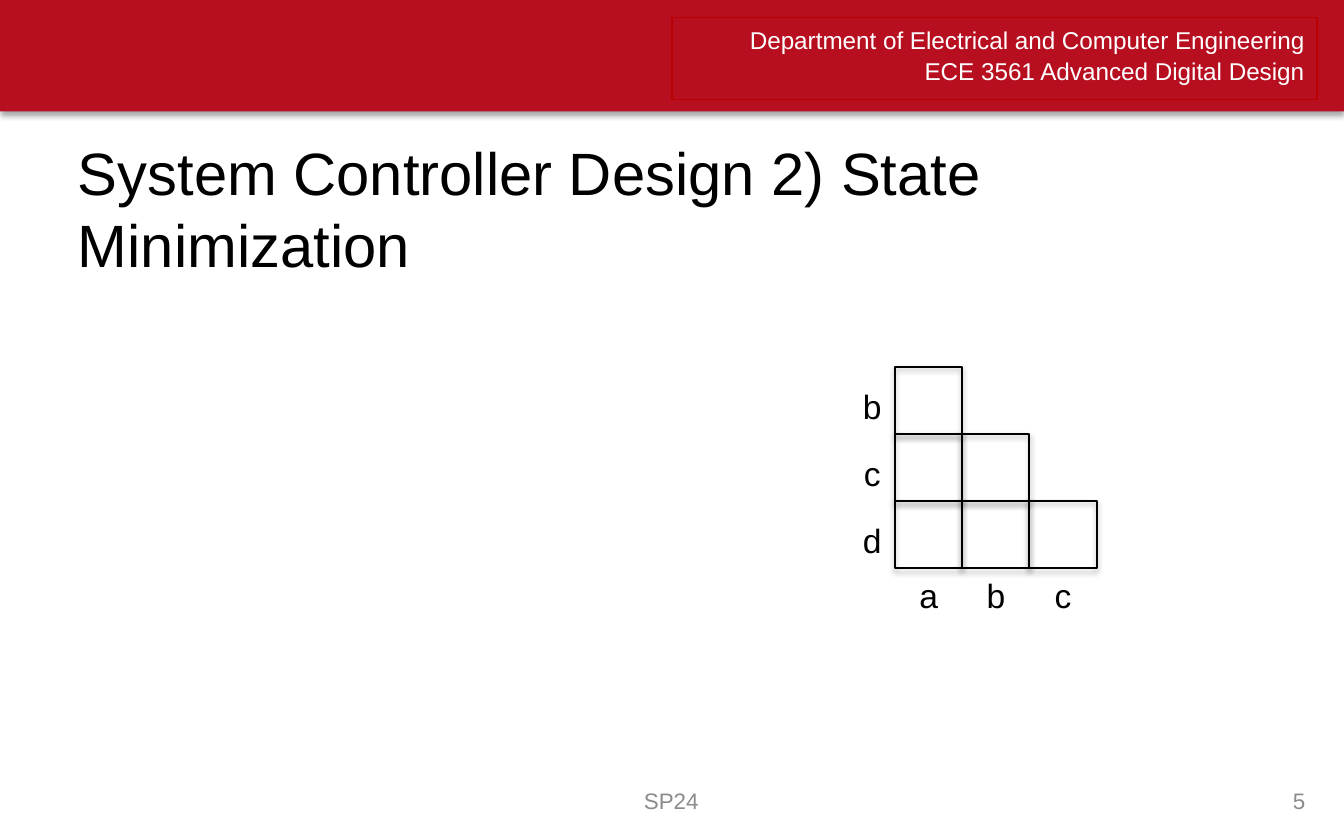
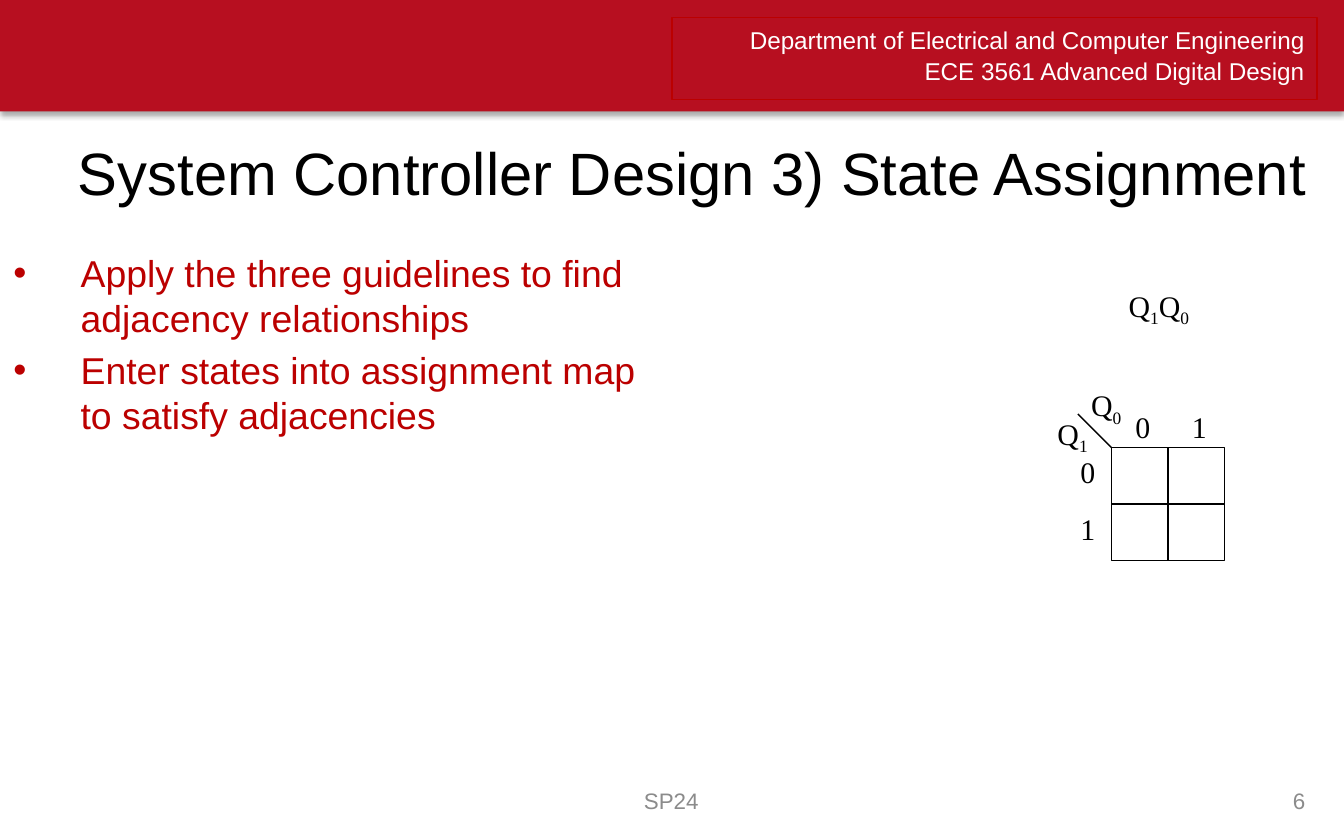
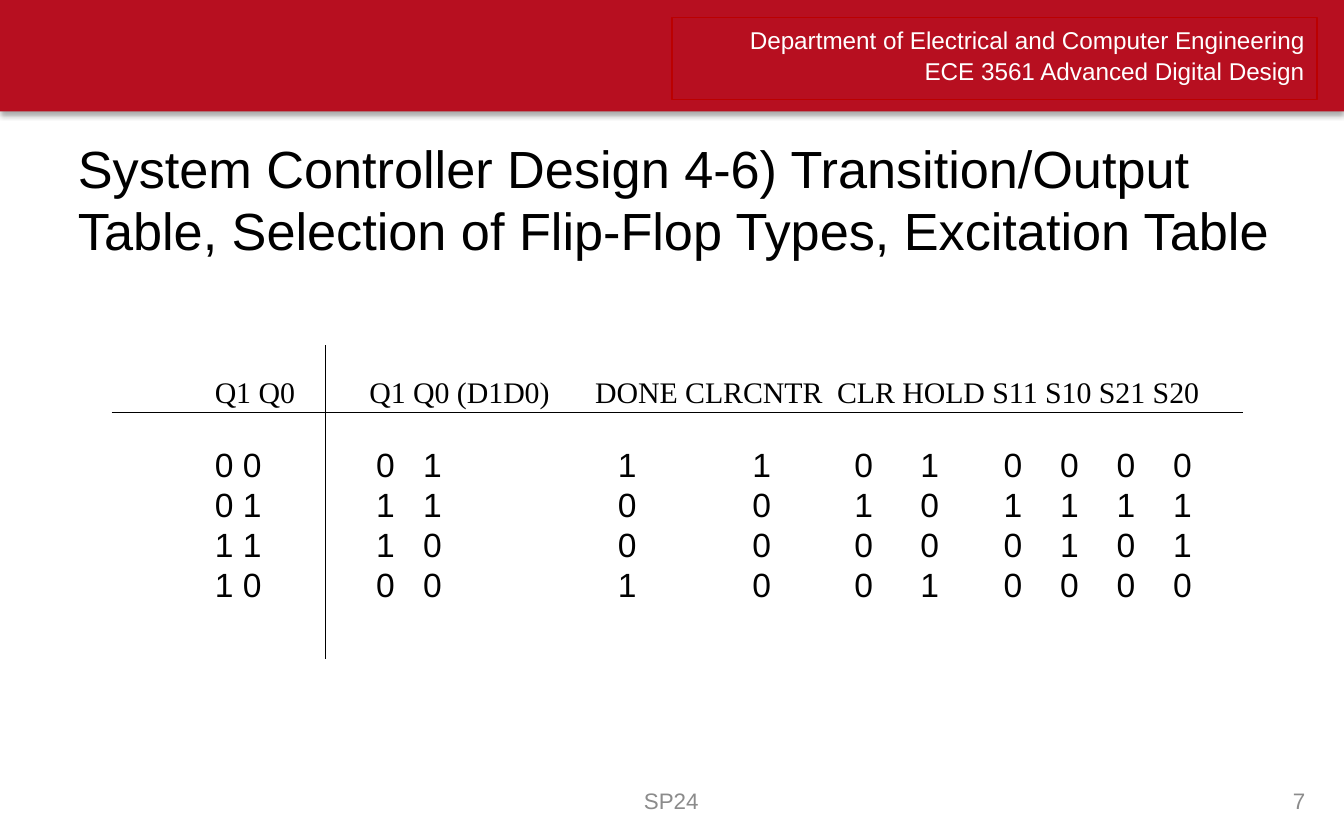
from dataclasses import dataclass

from lxml.etree import SubElement
from pptx import Presentation
from pptx.dml.color import RGBColor
from pptx.enum.shapes import MSO_CONNECTOR, MSO_SHAPE
from pptx.enum.text import MSO_ANCHOR, MSO_AUTO_SIZE, PP_ALIGN
from pptx.oxml.ns import qn
from pptx.util import Inches, Pt


@dataclass(frozen=True)
class Theme:
    sans: str = "Arial"
    serif: str = "Times New Roman"
    band: str = "B70F20"
    accent: str = "BB0000"
    ink: str = "000000"
    paper: str = "FFFFFF"
    muted: str = "8B8B8B"
    title: int = 32
    long_title: int = 28
    body: int = 20
    label: int = 18
    map_label: int = 16
    header: int = 13
    footer: int = 12


THEME = Theme()
FRAME = {
    "margin_left": Inches(0.1),
    "margin_right": Inches(0.1),
    "margin_top": Inches(0.05),
    "margin_bottom": Inches(0.05),
    "auto_size": MSO_AUTO_SIZE.NONE,
    "word_wrap": True,
}
TITLE_BOX = (0.48, 0.96, 9.52, 0.71)
LAYOUT_TITLE_AND_BODY = 1
LAYOUT_TITLE_ONLY = 5


def apply(target, values):
    for name, value in values.items():
        setattr(target, name, value)


def place(shape, box):
    apply(shape, dict(zip(("left", "top", "width", "height"), map(Inches, box))))


def style_font(font, size, color, name=THEME.sans):
    apply(font, {"name": name, "size": Pt(size)})
    font.color.rgb = RGBColor.from_string(color)


def write(shape, lines, size, color, name=THEME.sans, align=PP_ALIGN.LEFT,
          anchor=MSO_ANCHOR.TOP):
    frame = shape.text_frame
    apply(frame, {**FRAME, "vertical_anchor": anchor})
    frame.text = "\n".join(lines)
    for paragraph in frame.paragraphs:
        paragraph.alignment = align
        for run in paragraph.runs:
            style_font(run.font, size, color, name)
    return frame


def add_label(slide, box, lines, size, color=THEME.ink, **options):
    shape = slide.shapes.add_textbox(*map(Inches, box))
    return write(shape, lines, size, color, **options)


def add_rectangle(slide, box, fill=None, line=None, width=0.0):
    shape = slide.shapes.add_shape(MSO_SHAPE.RECTANGLE, *map(Inches, box))
    shape.shadow.inherit = False
    if fill:
        shape.fill.solid()
        shape.fill.fore_color.rgb = RGBColor.from_string(fill)
    else:
        shape.fill.background()
    if line:
        shape.line.color.rgb = RGBColor.from_string(line)
        shape.line.width = Pt(width)
    else:
        shape.line.fill.background()
    return shape


def add_shadow(shape):
    effects = shape.element.spPr.find(qn("a:effectLst"))
    shadow = SubElement(effects, qn("a:outerShdw"), blurRad=str(Pt(3.1)),
                        dist=str(Pt(1.8)), dir="5400000", rotWithShape="0")
    color = SubElement(shadow, qn("a:srgbClr"), val=THEME.ink)
    SubElement(color, qn("a:alpha"), val="35000")


def add_line(slide, start, end):
    line = slide.shapes.add_connector(MSO_CONNECTOR.STRAIGHT, *map(Inches, start + end))
    line.line.color.rgb = RGBColor.from_string(THEME.ink)
    line.line.width = Pt(0.75)
    SubElement(line.element.spPr, qn("a:effectLst"))


def add_tab_stops(paragraph, stops):
    tabs = SubElement(paragraph._p.get_or_add_pPr(), qn("a:tabLst"))
    for stop in stops:
        SubElement(tabs, qn("a:tab"), pos=str(Inches(stop)), algn="l")


def add_bullet(paragraph):
    properties = paragraph._p.get_or_add_pPr()
    properties.set("marL", str(Inches(0.5)))
    properties.set("indent", str(-Inches(0.5)))
    color = SubElement(properties, qn("a:buClr"))
    SubElement(color, qn("a:srgbClr"), val=THEME.accent)
    SubElement(properties, qn("a:buFont"), typeface=THEME.sans)
    SubElement(properties, qn("a:buChar"), char="•")


def add_master_header(presentation, slide):
    band = add_rectangle(slide, (0, 0, 10, 0.83), fill=THEME.band)
    add_shadow(band)
    course = add_rectangle(slide, (5, 0.13, 4.8, 0.61), line=THEME.accent)
    lines = ["Department of Electrical and Computer Engineering",
             "ECE 3561 Advanced Digital Design"]
    frame = write(course, lines, THEME.header, THEME.paper, align=PP_ALIGN.RIGHT)
    for paragraph in frame.paragraphs:
        paragraph.line_spacing = Pt(16.4)
    tree = presentation.slide_master.shapes.element
    for position, shape in enumerate((band, course), start=2):
        tree.insert(position, shape.element)


def add_footer(slide, number):
    for box, text, align in (
        ((3.31, 5.79, 3.37, 0.33), "SP24", PP_ALIGN.CENTER),
        ((7.56, 5.79, 2.25, 0.33), str(number), PP_ALIGN.RIGHT),
    ):
        add_label(slide, box, [text], THEME.footer, THEME.muted,
                  align=align, anchor=MSO_ANCHOR.MIDDLE)


def add_content_slide(presentation, layout, title, number, size=THEME.title):
    slide = presentation.slides.add_slide(presentation.slide_layouts[layout])
    place(slide.shapes.title, TITLE_BOX)
    write(slide.shapes.title, [title], size, THEME.ink)
    add_footer(slide, number)
    return slide


def add_body(slide, box, items):
    body = slide.placeholders[1]
    place(body, box)
    frame = write(body, items, THEME.body, THEME.accent)
    for index, paragraph in enumerate(frame.paragraphs):
        paragraph.space_before = Pt(4 if index else 0)
        add_bullet(paragraph)


def add_implication_chart(slide, left, top, cell, states):
    columns, rows = states[:-1], states[1:]
    for column in range(len(columns)):
        for row in range(column, len(rows)):
            square = add_rectangle(
                slide, (left + column * cell, top + row * cell, cell, cell),
                line=THEME.ink, width=1)
            add_shadow(square)
    bottom = top + len(rows) * cell
    for index, (column, row) in enumerate(zip(columns, rows)):
        for text, x, y in (
            (column, left + index * cell, bottom),
            (row, left - 0.42, top + index * cell + 0.09),
        ):
            add_label(slide, (x, y, cell, 0.4), [text], THEME.label,
                      align=PP_ALIGN.CENTER)


def add_variables(slide, box, indexes):
    frame = add_label(slide, box, [""], THEME.map_label)
    paragraph = frame.paragraphs[0]
    for index in indexes:
        for text, baseline in (("Q", None), (index, "-25000")):
            run = paragraph.add_run()
            run.text = text
            style_font(run.font, THEME.map_label, THEME.ink, THEME.serif)
            if baseline:
                run._r.get_or_add_rPr().set("baseline", baseline)


def add_assignment_map(slide, left, top, cell):
    for index in range(2):
        offset = index * cell
        for column in range(2):
            add_rectangle(slide, (left + column * cell, top + offset, cell, cell),
                          line=THEME.ink, width=0.75)
        for x, y in ((left + 0.08 + offset, top - 0.34), (left - 0.33, top + offset)):
            add_label(slide, (x, y, cell, 0.36), [str(index)],
                      THEME.map_label, name=THEME.serif)
    add_line(slide, (left, top), (left - 0.25, top - 0.25))
    add_variables(slide, (left - 0.25, top - 0.5, 0.5, 0.4), "0")
    add_variables(slide, (left - 0.5, top - 0.29, 0.5, 0.4), "1")
    add_variables(slide, (left + 0.03, top - 1.24, 0.7, 0.4), "10")


def add_transition_table(slide, left, top, width, rows):
    header = "Q1 Q0\tQ1 Q0 (D1D0)\tDONE CLRCNTR\tCLR HOLD S11 S10 S21 S20"
    heading = add_label(slide, (left, top, width, 0.63), [header],
                        THEME.map_label, name=THEME.serif)
    add_tab_stops(heading.paragraphs[0], (1.15, 2.83, 4.63))
    rule, divider = top + 0.34, left + 0.92
    add_line(slide, (left - 0.67, rule), (left + 7.75, rule))
    add_line(slide, (divider, top - 0.16), (divider, top + 2.17))
    lines = ["\t".join([state, *values]) for state, values in rows]
    values = add_label(slide, (left, top + 0.52, width, 1.22), lines, THEME.label)
    selects = [5.87 + 0.42 * index for index in range(4)]
    for paragraph in values.paragraphs:
        add_tab_stops(paragraph, [1.2, 1.55, 3, 4, 4.76, 5.25, *selects])


def build_minimization(presentation):
    slide = add_content_slide(presentation, LAYOUT_TITLE_ONLY,
                              "System Controller Design 2) State Minimization", 5)
    add_implication_chart(slide, 6.66, 2.73, 0.5, "abcd")
    return slide


def build_assignment(presentation):
    slide = add_content_slide(presentation, LAYOUT_TITLE_AND_BODY,
                              "System Controller Design 3) State Assignment", 6)
    add_body(slide, (0, 1.81, 5.05, 4.44), [
        "Apply the three guidelines to find adjacency relationships",
        "Enter states into assignment map to satisfy adjacencies",
    ])
    add_assignment_map(slide, 8.27, 3.33, 0.42)


def build_transition(presentation):
    title = ("System Controller Design 4-6) Transition/Output Table, "
             "Selection of Flip-Flop Types, Excitation Table")
    slide = add_content_slide(presentation, LAYOUT_TITLE_ONLY, title, 7, THEME.long_title)
    add_transition_table(slide, 1.5, 2.73, 7.83, [
        ("0 0", "0111010000"),
        ("0 1", "1100101111"),
        ("1 1", "1000000101"),
        ("1 0", "0010010000"),
    ])


def main():
    presentation = Presentation()
    apply(presentation, {"slide_width": Inches(10), "slide_height": Inches(6.25)})
    first_slide = build_minimization(presentation)
    add_master_header(presentation, first_slide)
    build_assignment(presentation)
    build_transition(presentation)
    presentation.save("out.pptx")


if __name__ == "__main__":
    main()
